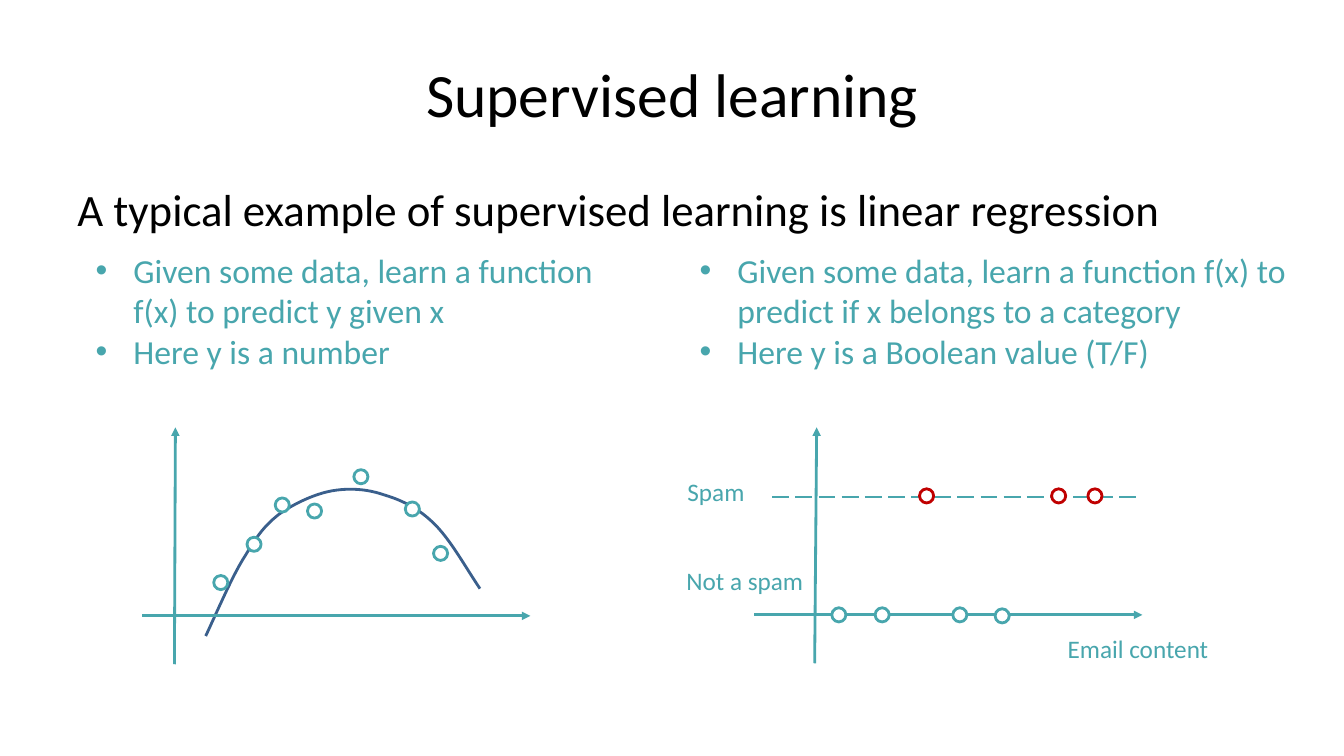
from dataclasses import dataclass

from lxml import etree
from pptx import Presentation
from pptx.dml.color import RGBColor
from pptx.enum.dml import MSO_LINE
from pptx.enum.shapes import MSO_CONNECTOR, MSO_SHAPE
from pptx.enum.text import MSO_ANCHOR, MSO_AUTO_SIZE, PP_ALIGN
from pptx.oxml.ns import qn
from pptx.shapes.shapetree import GroupShapes, SlideShapes
from pptx.util import Inches, Pt

STRAIGHT = MSO_CONNECTOR.STRAIGHT
OVAL = MSO_SHAPE.OVAL
LONG_DASH = MSO_LINE.LONG_DASH
CENTER = PP_ALIGN.CENTER
LEFT = PP_ALIGN.LEFT
TOP = MSO_ANCHOR.TOP
MIDDLE = MSO_ANCHOR.MIDDLE
GROW = MSO_AUTO_SIZE.SHAPE_TO_FIT_TEXT

CELL = Inches(0.1)
FONT = "Calibri"
BLACK, TEAL, RED, BLUE, WHITE = "000000", "48A6AD", "C00000", "3A5F8C", "FFFFFF"
DOT_SIZE = 1.4
INDENT = 3.75
CURVE_STEPS = 12

Point = tuple[float, float]


@dataclass(frozen=True)
class Caption:
    column: float
    row: float
    width: float
    height: float
    lines: tuple[str, ...]
    size: float
    color: str = TEAL
    align: PP_ALIGN = LEFT
    anchor: MSO_ANCHOR = TOP
    bullets: bool = False
    wrap: bool = True


@dataclass(frozen=True)
class Line:
    start: Point
    end: Point
    weight: float = 2
    arrow: bool = True


@dataclass(frozen=True)
class Dot:
    column: float
    row: float
    color: str = TEAL


@dataclass(frozen=True)
class Plot:
    lines: tuple[Line, ...]
    dots: tuple[Dot, ...]
    captions: tuple[Caption, ...] = ()
    curve: tuple[Point, ...] = ()


HEADINGS = (
    Caption(6.7, 3, 120, 12.5, ("Supervised learning",), 44, BLACK, CENTER, MIDDLE),
    Caption(6.7, 17.5, 120, 6,
            ("A typical example of supervised learning is linear regression",), 32, BLACK),
    Caption(8.5, 24.3, 55.7, 13.1,
            ("Given some data, learn a function f(x) to predict y given x",
             "Here y is a number"), 24, bullets=True),
    Caption(68.4, 24.3, 60.1, 13.1,
            ("Given some data, learn a function f(x) to predict if x belongs to a category",
             "Here y is a Boolean value (T/F)"), 24, bullets=True),
)

REGRESSION = Plot(
    lines=(Line((14.1, 61.1), (52.6, 61.1)), Line((17.3, 65.9), (17.4, 42.4))),
    dots=(Dot(21.2, 57.1), Dot(24.5, 53.3), Dot(30.5, 50), Dot(35.1, 46.6),
          Dot(40.2, 49.8), Dot(43, 54.2), Dot(27.3, 49.4)),
    curve=((20.4, 63.1), (21.8, 60.1), (23.1, 57), (24.4, 55),
           (25.6, 53), (26.3, 52.1), (27.7, 51),
           (29.1, 50), (31.2, 49), (32.9, 48.7),
           (34.6, 48.4), (36.4, 48.5), (38.1, 49.1),
           (39.8, 49.6), (41.5, 50.4), (43.1, 52),
           (44.7, 53.6), (46, 56), (47.6, 58.4)),
)

CLASSIFICATION = Plot(
    lines=(Line((76.6, 49.3), (112.9, 49.3), 1.5, False),
           Line((74.8, 61), (113.3, 61)), Line((80.8, 65.8), (81, 42.4))),
    dots=(Dot(82.5, 60.3), Dot(86.8, 60.3), Dot(94.5, 60.3), Dot(98.7, 60.4),
          Dot(104.3, 48.5, RED), Dot(107.9, 48.5, RED), Dot(91.2, 48.5, RED)),
    captions=(Caption(67.2, 46.8, 7.7, 4, ("Spam",), 18, wrap=False),
              Caption(104.9, 62.3, 16.1, 4, ("Email content",), 18, wrap=False),
              Caption(67.1, 55.6, 13.7, 4, ("Not a spam",), 18, wrap=False)),
)


def grid(cells: float) -> int:
    return round(cells * CELL)


def rgb(color: str) -> RGBColor:
    return RGBColor.from_string(color)


def add_caption(shapes: SlideShapes | GroupShapes, caption: Caption) -> None:
    box = shapes.add_textbox(grid(caption.column), grid(caption.row),
                             grid(caption.width), grid(caption.height))
    frame = box.text_frame
    frame.text = "\n".join(caption.lines)
    frame.word_wrap = caption.wrap
    frame.vertical_anchor = caption.anchor
    if caption.bullets or not caption.wrap:
        frame.auto_size = GROW
    for para in frame.paragraphs:
        para.alignment = caption.align
        if caption.bullets:
            properties = para._p.get_or_add_pPr()
            properties.set("marL", str(grid(INDENT)))
            properties.set("indent", str(-grid(INDENT)))
            etree.SubElement(properties, qn("a:buFont"), typeface="Arial")
            etree.SubElement(properties, qn("a:buChar"), char="•")
        for span in para.runs:
            span.font.name = FONT
            span.font.size = Pt(caption.size)
            span.font.color.rgb = rgb(caption.color)


def add_line(shapes: GroupShapes, line: Line) -> None:
    connector = shapes.add_connector(STRAIGHT, *map(grid, line.start + line.end))
    connector.line.color.rgb = rgb(TEAL)
    connector.line.width = Pt(line.weight)
    if line.arrow:
        etree.SubElement(connector.line._get_or_add_ln(), qn("a:tailEnd"), type="triangle")
    else:
        connector.line.dash_style = LONG_DASH
    etree.SubElement(connector._element.spPr, qn("a:effectLst"))


def add_dot(shapes: GroupShapes, dot: Dot) -> None:
    circle = shapes.add_shape(OVAL, grid(dot.column), grid(dot.row),
                              grid(DOT_SIZE), grid(DOT_SIZE))
    circle.shadow.inherit = False
    circle.fill.solid()
    circle.fill.fore_color.rgb = rgb(WHITE)
    circle.line.color.rgb = rgb(dot.color)
    circle.line.width = Pt(2)


def bezier(points: tuple[Point, ...], share: float) -> Point:
    rest = 1 - share
    weights = (rest**3, 3 * rest**2 * share, 3 * rest * share**2, share**3)
    column, row = (sum(w * p[axis] for w, p in zip(weights, points)) for axis in (0, 1))
    return grid(column), grid(row)


def add_curve(shapes: GroupShapes, points: tuple[Point, ...]) -> None:
    builder = shapes.build_freeform(*map(grid, points[0]))
    builder.add_line_segments(
        [bezier(points[first:first + 4], step / CURVE_STEPS)
         for first in range(0, len(points) - 1, 3)
         for step in range(1, CURVE_STEPS + 1)], close=False)
    curve = builder.convert_to_shape()
    curve.shadow.inherit = False
    curve.fill.background()
    curve.line.color.rgb = rgb(BLUE)
    curve.line.width = Pt(2)


def add_plot(shapes: SlideShapes, plot: Plot) -> None:
    group = shapes.add_group_shape().shapes
    if plot.curve:
        add_curve(group, plot.curve)
    for line in plot.lines:
        add_line(group, line)
    for dot in plot.dots:
        add_dot(group, dot)
    for caption in plot.captions:
        add_caption(group, caption)


def main() -> None:
    deck = Presentation()
    deck.slide_width, deck.slide_height = Inches(13.33), Inches(7.5)
    page = deck.slides.add_slide(deck.slide_layouts[6])
    for heading in HEADINGS:
        add_caption(page.shapes, heading)
    for plot in (REGRESSION, CLASSIFICATION):
        add_plot(page.shapes, plot)
    deck.save("out.pptx")


if __name__ == "__main__":
    main()
